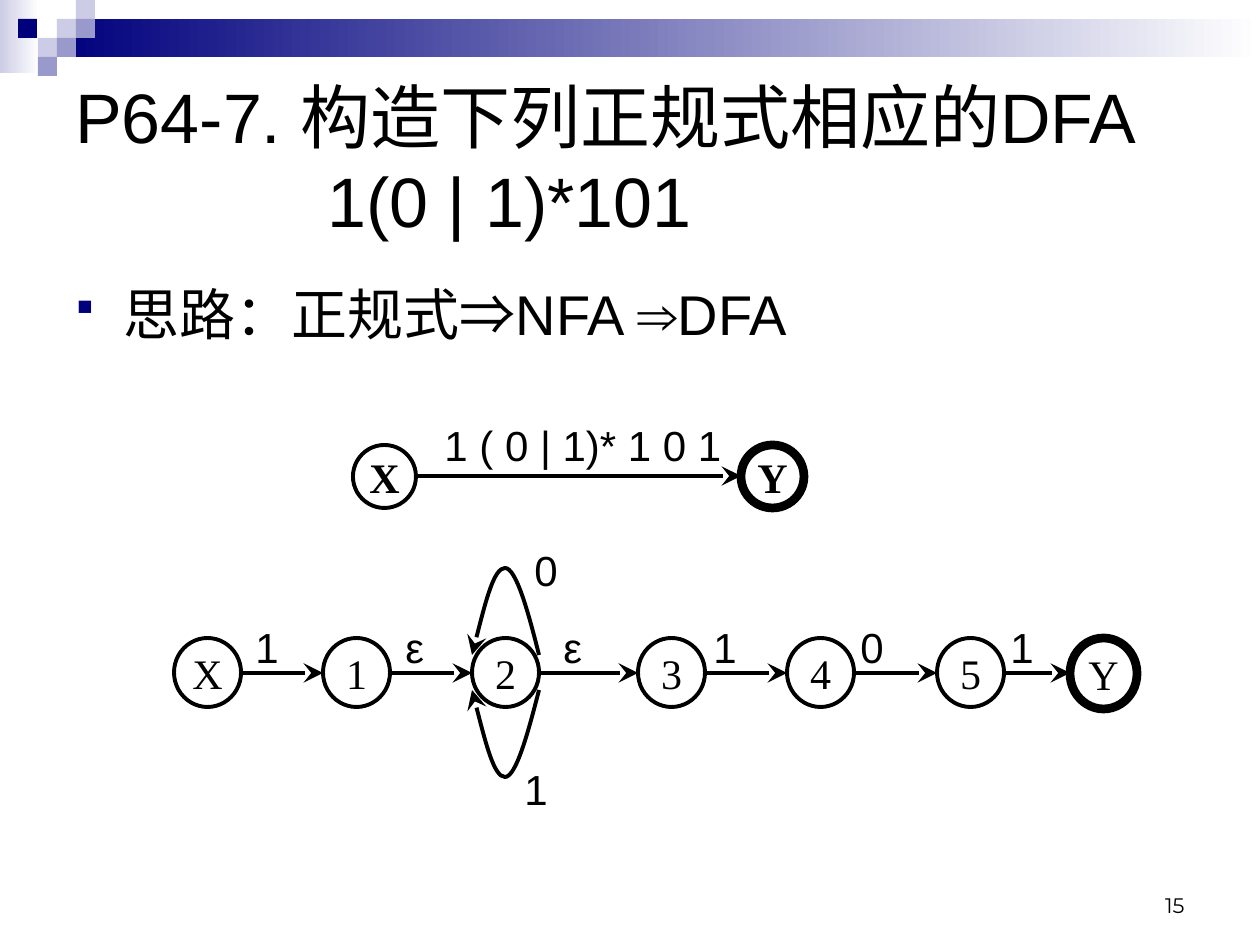
from dataclasses import dataclass
from typing import Optional

from lxml import etree
from pptx import Presentation
from pptx.dml.color import RGBColor
from pptx.enum.shapes import MSO_CONNECTOR, MSO_SHAPE
from pptx.enum.text import MSO_ANCHOR, PP_ALIGN
from pptx.oxml.ns import qn
from pptx.util import Inches, Pt

RECTANGLE, OVAL, STRAIGHT = MSO_SHAPE.RECTANGLE, MSO_SHAPE.OVAL, MSO_CONNECTOR.STRAIGHT
TOP, MIDDLE, BOTTOM = MSO_ANCHOR.TOP, MSO_ANCHOR.MIDDLE, MSO_ANCHOR.BOTTOM
LEFT, CENTER, RIGHT = PP_ALIGN.LEFT, PP_ALIGN.CENTER, PP_ALIGN.RIGHT

SCALE = 914400 / 126
COLORS = {"black": "000000", "white": "FFFFFF", "navy": "00007D",
          "lilac": "9999CC", "pale": "CCCCE6"}
THIN, THICK = 2.25, 5
CELL = 19


@dataclass
class State:
    name: str
    left: int
    top: int
    width: int
    height: int
    weight: float = THIN
    bold: bool = False
    fill: Optional[str] = "white"


@dataclass
class Label:
    text: str
    left: int
    top: int
    width: int
    height: int = 63
    size: int = 24
    font: str = "Arial"
    anchor: MSO_ANCHOR = TOP
    align: PP_ALIGN = LEFT
    wrap: bool = False


@dataclass
class Square:
    left: int
    top: int
    color: str


def emu(*lengths: int) -> list[int]:
    return [round(length * SCALE) for length in lengths]


def rgb(name: str) -> RGBColor:
    return RGBColor.from_string(COLORS[name])


def format_text(frame, size: int, font: str, align: PP_ALIGN, bold: bool = False) -> None:
    for para in frame.paragraphs:
        para.alignment = align
        for span in para.runs:
            span.font.size = Pt(size)
            span.font.name = font
            span.font.bold = bold
            span.font.color.rgb = rgb("black")


def draw_label(page, label: Label):
    box = page.shapes.add_textbox(*emu(label.left, label.top, label.width, label.height))
    frame = box.text_frame
    frame.word_wrap = label.wrap
    frame.vertical_anchor = label.anchor
    frame.paragraphs[0].text = label.text
    format_text(frame, label.size, label.font, label.align)
    return frame.paragraphs[0]


def add_rectangle(page, left: int, top: int, width: int, height: int):
    box = page.shapes.add_shape(RECTANGLE, *emu(left, top, width, height))
    box.shadow.inherit = False
    box.line.fill.background()
    return box


def draw_square(page, square: Square) -> None:
    box = add_rectangle(page, square.left, square.top, CELL, CELL)
    box.fill.solid()
    box.fill.fore_color.rgb = rgb(square.color)


def draw_fade(page, left: int, top: int, width: int, height: int, color: str) -> None:
    fill = add_rectangle(page, left, top, width, height).fill
    fill.gradient()
    fill.gradient_angle = 0
    for stop, position, name in zip(fill.gradient_stops, (0, 1), (color, "white")):
        stop.position = position
        stop.color.rgb = rgb(name)


def draw_state(page, state: State) -> None:
    circle = page.shapes.add_shape(
        OVAL, *emu(state.left, state.top, state.width, state.height))
    circle.shadow.inherit = False
    if state.fill:
        circle.fill.solid()
        circle.fill.fore_color.rgb = rgb(state.fill)
    else:
        circle.fill.background()
    circle.line.color.rgb = rgb("black")
    circle.line.width = Pt(state.weight)
    frame = circle.text_frame
    frame.margin_left = frame.margin_right = frame.margin_top = frame.margin_bottom = 0
    frame.word_wrap = False
    frame.vertical_anchor = MIDDLE
    frame.text = state.name
    format_text(frame, 24, "Times New Roman", CENTER, state.bold)


def style_arrow(line) -> None:
    line.color.rgb = rgb("black")
    line.width = Pt(THIN)
    etree.SubElement(line._get_or_add_ln(), qn("a:tailEnd"),
                     type="stealth", w="lg", len="lg")


def draw_arrow(page, source: State, target: State, y: int) -> None:
    arrow = page.shapes.add_connector(
        STRAIGHT, *emu(source.left + source.width, y, target.left, y))
    style_arrow(arrow.line)
    etree.SubElement(arrow.element.spPr, qn("a:effectLst"))


def draw_loop(page, state: State, base: int, peak: int) -> None:
    right = state.left + state.width
    middle = (state.left + right) // 2
    near, far = base + (peak - base) // 2, 11
    builder = page.shapes.build_freeform(right, base, scale=SCALE)
    builder.add_line_segments(
        [(right - far, near), (middle + far, peak), (middle, peak),
         (middle - far, peak), (state.left + far, near), (state.left, base)], close=False)
    loop = builder.convert_to_shape()
    loop.shadow.inherit = False
    loop.fill.background()
    style_arrow(loop.line)
    segments = list(loop.element.iter(qn("a:lnTo")))
    for first in range(0, len(segments), 3):
        curve = etree.Element(qn("a:cubicBezTo"))
        segments[first].addprevious(curve)
        for segment in segments[first:first + 3]:
            curve.append(segment[0])
            segment.getparent().remove(segment)


def add_tabs(para) -> None:
    tabs = etree.SubElement(para._p.get_or_add_pPr(), qn("a:tabLst"))
    for inch in range(1, 8):
        etree.SubElement(tabs, qn("a:tab"), pos=str(Inches(inch)), algn="l")


def add_bullet(para) -> None:
    properties = para._p.get_or_add_pPr()
    properties.set("marL", str(Inches(0.38)))
    properties.set("indent", str(Inches(-0.38)))
    color = etree.SubElement(properties, qn("a:buClr"))
    etree.SubElement(color, qn("a:srgbClr"), val=COLORS["navy"])
    etree.SubElement(properties, qn("a:buSzPct"), val="75000")
    etree.SubElement(properties, qn("a:buFont"), typeface="Wingdings", charset="2")
    etree.SubElement(properties, qn("a:buChar"), char="§")


def main() -> None:
    deck = Presentation()
    deck.slide_width, deck.slide_height = emu(1260, 945)
    page = deck.slides.add_slide(deck.slide_layouts[6])

    draw_fade(page, 0, 0, 39, 73, "pale")
    draw_fade(page, 57, 19, 1203, 38, "navy")
    for square in (Square(57, 19, "pale"), Square(76, 0, "pale"), Square(76, 19, "lilac"),
                   Square(38, 38, "pale"), Square(18, 19, "navy"),
                   Square(57, 38, "lilac"), Square(38, 57, "lilac")):
        draw_square(page, square)

    add_tabs(draw_label(page, Label("P64-7. 构造下列正规式相应的DFA\v\t\t1(0 | 1)*101",
                                    63, 63, 1134, 189, 40, anchor=MIDDLE, wrap=True)))
    add_bullet(draw_label(page, Label("思路：正规式⇒NFA ⇒DFA",
                                      63, 273, 1134, 536, 32, wrap=True)))

    start = State("X", 353, 445, 63, 63, bold=True, fill=None)
    accept = State("Y", 741, 445, 63, 63, THICK, True, None)
    draw_state(page, start)
    draw_state(page, accept)
    draw_arrow(page, start, accept, 476)
    draw_label(page, Label("1 ( 0 | 1)* 1 0 1", 426, 413, 314, anchor=MIDDLE, align=CENTER))

    lefts = (174, 323, 472, 638, 787, 937)
    chain = [State(name, left, 638, 67, 69) for name, left in zip("X12345", lefts)]
    chain.append(State("Y", 1070, 638, 67, 71, THICK))
    for state in chain:
        draw_state(page, state)
    for source, target in zip(chain, chain[1:]):
        draw_arrow(page, source, target, 673)
    draw_loop(page, chain[2], 655, 568)
    draw_loop(page, chain[2], 690, 777)

    for text, left in zip("1εε101", (243, 393, 551, 701, 848, 998)):
        draw_label(page, Label(text, left, 615, 43 if text == "ε" else 48))
    draw_label(page, Label("1", 512, 757, 48))
    draw_label(page, Label("0", 522, 538, 48))
    draw_label(page, Label("15", 903, 861, 294, 63, 12, "Montserrat", BOTTOM, RIGHT, True))

    deck.save("out.pptx")


if __name__ == "__main__":
    main()
